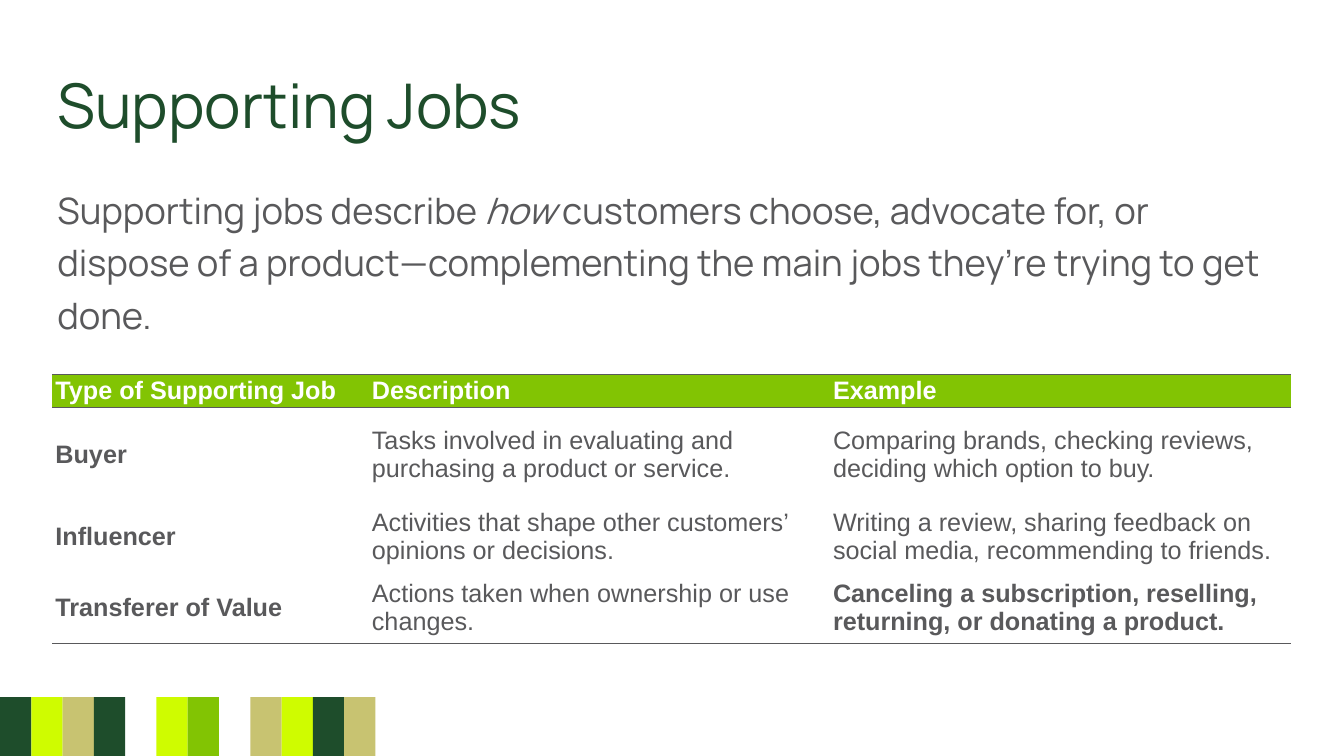
from dataclasses import dataclass

from lxml.etree import SubElement
from pptx import Presentation
from pptx.dml.color import RGBColor
from pptx.enum.shapes import MSO_SHAPE
from pptx.enum.text import MSO_ANCHOR, PP_ALIGN
from pptx.oxml.ns import qn
from pptx.util import Inches, Pt


@dataclass(frozen=True)
class Theme:
    forest: str = "1E4D2B"
    lime: str = "CFFC00"
    sand: str = "C8C371"
    green: str = "82C403"
    gray: str = "59595B"
    white: str = "FFFFFF"
    heading_font: str = "Manrope"
    table_font: str = "Arial"
    title_size: int = 88
    body_size: int = 52
    table_size: int = 36
    rule_width: int = 2


T = Theme()
NO_STYLE = "{2D5ABB26-0587-4C30-8999-92F81FD0307C}"

# None leaves a gap between stripes
STRIPES = [T.forest, T.lime, T.sand, T.forest, None, T.lime,
           T.green, None, T.sand, T.lime, T.forest, T.sand]

INTRO = [
    ("Supporting jobs describe ", False),
    ("how", True),
    (" customers choose, advocate for, or dispose of a product—complementing "
     "the main jobs they’re trying to get done.", False),
]

ROWS = [
    ("Type of Supporting Job", "Description", "Example"),
    ("Buyer",
     "Tasks involved in evaluating and purchasing a product or service.",
     "Comparing brands, checking reviews, deciding which option to buy."),
    ("Influencer",
     "Activities that shape other customers’ opinions or decisions.",
     "Writing a review, sharing feedback on social media, recommending to friends."),
    ("Transferer of Value",
     "Actions taken when ownership or use changes.",
     "Canceling a subscription, reselling, returning, or donating a product."),
]
COL_WIDTHS = [6.28, 9.15, 9.15]
ROW_HEIGHTS = [0.51, 1.86, 1.41, 1.41]


def rgb(color):
    return RGBColor.from_string(color)


def style_font(font, name, size, color, bold=False):
    font.name, font.size, font.bold = name, Pt(size), bold
    font.color.rgb = rgb(color)


def set_margins(tf, margin):
    tf.margin_left = tf.margin_right = tf.margin_top = tf.margin_bottom = Inches(margin)


def add_stripes(s, left, top, width, height):
    step = width / len(STRIPES)
    for i, color in enumerate(STRIPES):
        if color is None:
            continue
        stripe = s.shapes.add_shape(MSO_SHAPE.RECTANGLE, Inches(left + i * step),
                                    Inches(top), Inches(step), Inches(height))
        stripe.shadow.inherit = False
        stripe.fill.solid()
        stripe.fill.fore_color.rgb = rgb(color)
        stripe.line.fill.background()


def add_title(s, left, top, width, height):
    sp = s.shapes.title
    sp.left, sp.top, sp.width, sp.height = map(Inches, (left, top, width, height))
    tf = sp.text_frame
    tf.text = "Supporting Jobs"
    tf.vertical_anchor = MSO_ANCHOR.MIDDLE
    set_margins(tf, 0.1)
    p = tf.paragraphs[0]
    p.alignment = PP_ALIGN.LEFT
    style_font(p.font, T.heading_font, T.title_size, T.forest)


def add_intro(s, left, top, width, height):
    tf = s.shapes.add_textbox(*map(Inches, (left, top, width, height))).text_frame
    tf.word_wrap = True
    set_margins(tf, 0.1)
    p = tf.paragraphs[0]
    p.line_spacing = 1.2
    style_font(p.font, T.heading_font, T.body_size, T.gray)
    for text, italic in INTRO:
        r = p.add_run()
        r.text = text
        if italic:
            r.font.italic = True


def add_rule(cell, side):
    """Draw one cell border; side is "T" or "B". Call before filling the cell."""
    ln = SubElement(cell._tc.get_or_add_tcPr(), qn(f"a:ln{side}"),
                    w=str(Pt(T.rule_width)))
    SubElement(SubElement(ln, qn("a:solidFill")), qn("a:srgbClr"), val=T.gray)


def fill_cell(cell, text, header, bold, rules):
    for side in rules:
        add_rule(cell, side)
    cell.fill.solid()
    cell.fill.fore_color.rgb = rgb(T.green if header else T.white)
    cell.vertical_anchor = MSO_ANCHOR.MIDDLE
    cell.margin_left = cell.margin_right = Inches(0.06)
    cell.margin_top = cell.margin_bottom = Inches(0.03)
    cell.text = text
    style_font(cell.text_frame.paragraphs[0].font, T.table_font, T.table_size,
               T.white if header else T.gray, bold)


def add_jobs_table(s, left, top):
    frame = s.shapes.add_table(len(ROWS), len(COL_WIDTHS), Inches(left), Inches(top),
                               Inches(sum(COL_WIDTHS)), Inches(sum(ROW_HEIGHTS)))
    table = frame.table
    table.horz_banding = False
    table._tbl.tblPr.find(qn("a:tableStyleId")).text = NO_STYLE
    for column, width in zip(table.columns, COL_WIDTHS):
        column.width = Inches(width)
    for row, height in zip(table.rows, ROW_HEIGHTS):
        row.height = Inches(height)

    last_row, last_col = len(ROWS) - 1, len(COL_WIDTHS) - 1
    for i, texts in enumerate(ROWS):
        rules = "TB" if i == 0 else "B" if i == last_row else ""
        for j, text in enumerate(texts):
            bold = i == 0 or j == 0 or (i, j) == (last_row, last_col)
            fill_cell(table.cell(i, j), text, i == 0, bold, rules)


def main():
    prs = Presentation()
    prs.slide_width, prs.slide_height = Inches(26.67), Inches(15)
    s = prs.slides.add_slide(prs.slide_layouts[5])
    left, width = 1.04, 24.59
    add_stripes(s, 0, 13.83, 7.45, 1.17)
    add_title(s, left, 1.22, width, 1.68)
    add_intro(s, left, 3.46, width, 3.7)
    add_jobs_table(s, left, 7.43)
    prs.save("out.pptx")


if __name__ == "__main__":
    main()
